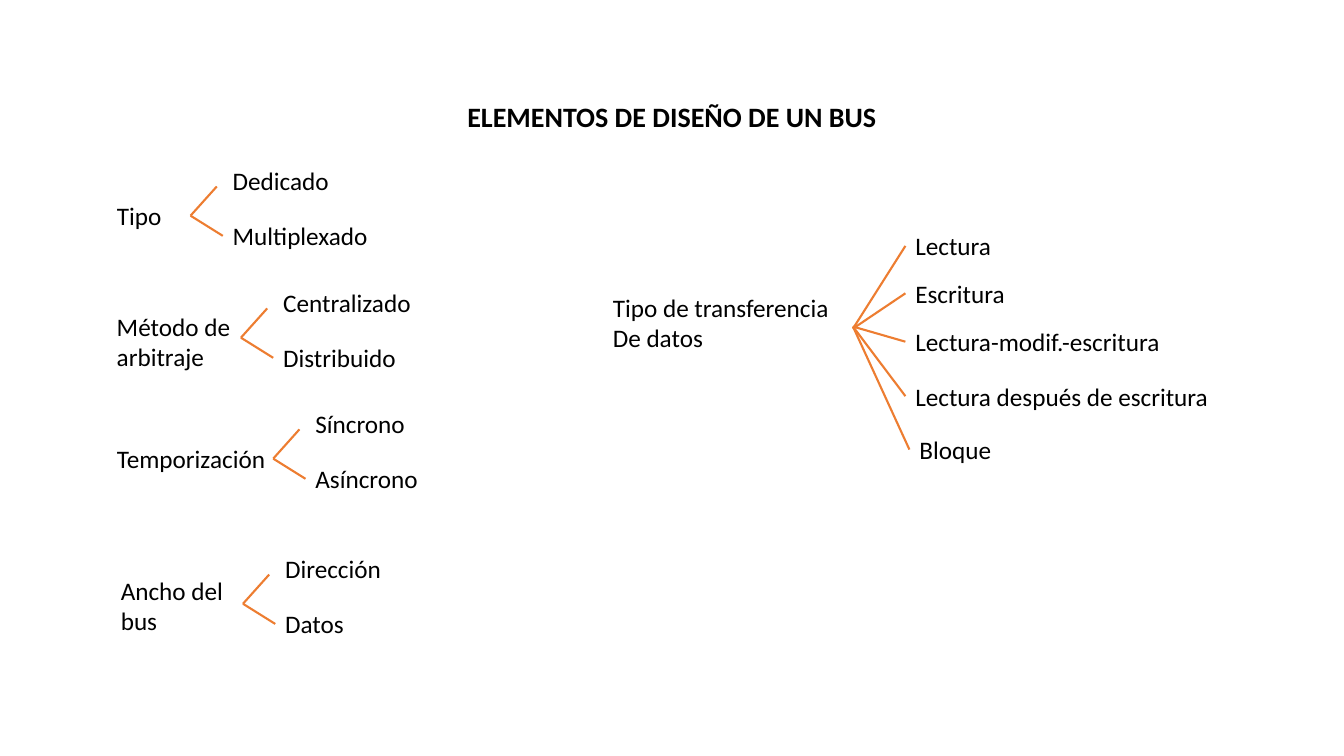
import pptx
import pptx.dml.color
import pptx.enum.shapes
import pptx.enum.text
import pptx.oxml
import pptx.util

Inches = pptx.util.Inches
Pt = pptx.util.Pt
BLACK = pptx.dml.color.RGBColor(0x00, 0x00, 0x00)
ORANGE = pptx.dml.color.RGBColor(0xED, 0x7D, 0x31)
FONT = "Calibri"

TITLE = "ELEMENTOS DE DISEÑO DE UN BUS"

# Label, its box (left, top, width), fork apex, and two (option, width) pairs
PAIRS = [
    ("Tipo", (1.06, 1.94, 0.65), (1.89, 2.14),
     [("Dedicado", 1.17), ("Multiplexado", 1.56)]),
    ("Método de\narbitraje", (1.06, 3.04, 1.34), (2.39, 3.35),
     [("Centralizado", 1.48), ("Distribuido", 1.33)]),
    ("Temporización", (1.06, 4.35, 1.69), (2.71, 4.55),
     [("Síncrono", 1.1), ("Asíncrono", 1.23)]),
    ("Ancho del\nbus", (1.1, 5.66, 1.23), (2.41, 5.99),
     [("Dirección", 1.16), ("Datos", 0.79)]),
]
OPTION_LEFT = 0.32                      # from the apex
OPTION_TOPS = (-0.55, 0)                # from the apex
FORK_ENDS = ((0.26, -0.29), (0.32, 0.2))  # from the apex

# Transfer types: text, left, top, width, height of the line's start
TRANSFER_LABEL = ("Tipo de transferencia\nDe datos", (5.98, 2.85, 2.37))
TRANSFER_APEX_LEFT = 8.46
TRANSFERS = [
    ("Lectura", 8.98, 2.24, 0.96, 3.26),
    ("Escritura", 8.98, 2.71, 1.1, 3.26),
    ("Lectura-modif.-escritura", 8.98, 3.19, 2.66, 3.24),
    ("Lectura después de escritura", 8.98, 3.73, 3.14, 3.24),
    ("Bloque", 9.02, 4.26, 0.92, 3.24),
]
LINE_HEIGHT = 0.4
TWO_LINE_HEIGHT = 0.71


def format_text(shape, size, bold=False):
    text_frame = shape.text_frame
    text_frame.word_wrap = False
    text_frame.auto_size = pptx.enum.text.MSO_AUTO_SIZE.SHAPE_TO_FIT_TEXT
    for paragraph in text_frame.paragraphs:
        for run in paragraph.runs:
            run.font.name = FONT
            run.font.size = Pt(size)
            run.font.bold = bold
            run.font.color.rgb = BLACK


def add_label(slide, text, left, top, width):
    height = TWO_LINE_HEIGHT if "\n" in text else LINE_HEIGHT
    box = slide.shapes.add_textbox(
        Inches(left), Inches(top), Inches(width), Inches(height))
    box.text_frame.text = text
    format_text(box, 18)


def add_branch(slide, start, end):
    connector = slide.shapes.add_connector(
        pptx.enum.shapes.MSO_CONNECTOR.STRAIGHT,
        *(Inches(value) for value in (*start, *end)))
    connector.line.color.rgb = ORANGE
    connector.line.width = Pt(1.5)
    properties = connector._element.spPr
    properties.append(pptx.oxml.parse_xml(
        '<a:effectLst xmlns:a="http://schemas.openxmlformats.org/drawingml/2006/main"/>'))


def main():
    presentation = pptx.Presentation()
    presentation.slide_width = Inches(13.33)
    presentation.slide_height = Inches(7.5)
    slide = presentation.slides.add_slide(presentation.slide_layouts[5])

    # Title
    title = slide.shapes.title
    title.left, title.top = Inches(4.52), Inches(0.93)
    title.width, title.height = Inches(4.29), Inches(0.44)
    title.text_frame.text = TITLE
    format_text(title, 20, bold=True)

    # Two-way forks
    for label, label_box, (apex_x, apex_y), options in PAIRS:
        add_label(slide, label, *label_box)
        for (text, width), top, (end_x, end_y) in zip(options, OPTION_TOPS, FORK_ENDS):
            add_branch(slide, (apex_x, apex_y), (apex_x + end_x, apex_y + end_y))
            add_label(slide, text, apex_x + OPTION_LEFT, apex_y + top, width)

    # Transfer types fan
    label, label_box = TRANSFER_LABEL
    add_label(slide, label, *label_box)
    for text, left, top, width, start_y in TRANSFERS:
        add_branch(slide, (TRANSFER_APEX_LEFT, start_y), (left, top + LINE_HEIGHT / 2))
        add_label(slide, text, left, top, width)

    presentation.save("out.pptx")


if __name__ == "__main__":
    main()
